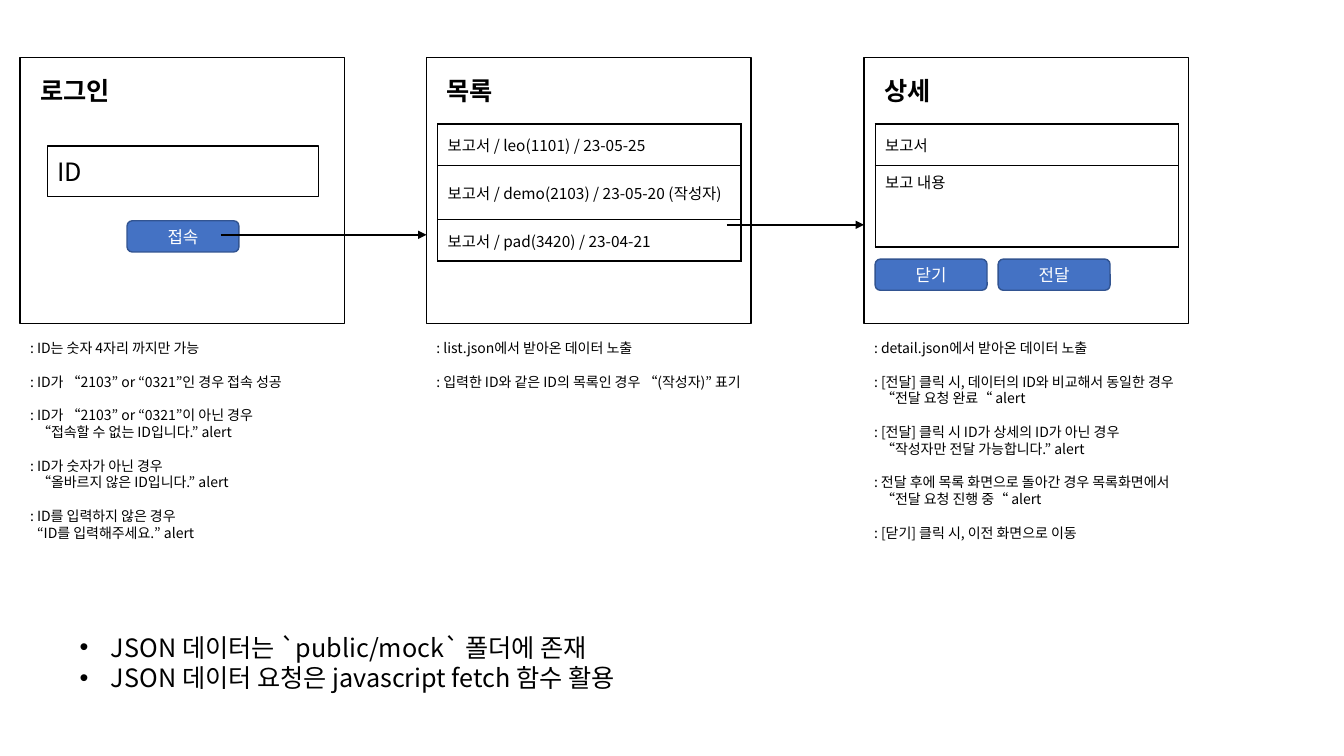
from dataclasses import dataclass

from lxml.etree import SubElement
from pptx import Presentation
from pptx.dml.color import RGBColor
from pptx.enum.shapes import MSO_CONNECTOR, MSO_SHAPE
from pptx.enum.text import MSO_ANCHOR, MSO_AUTO_SIZE, PP_ALIGN
from pptx.oxml import parse_xml
from pptx.oxml.ns import nsdecls, qn
from pptx.util import Inches, Pt


@dataclass(frozen=True)
class Theme:
    """Colours, font and type sizes of the slide."""

    font: str = "Noto Sans CJK KR"
    ink: str = "000000"
    paper: str = "FFFFFF"
    button: str = "4472C4"
    button_edge: str = "325491"
    heading: int = 18
    label: int = 12
    cell: int = 11
    note: int = 10
    leading: float = 1.2


@dataclass(frozen=True)
class Box:
    """A rectangle in inches."""

    left: float
    top: float
    width: float
    height: float

    def inside(self, left, top, width, height):
        """Return a box placed relative to this one."""
        return Box(self.left + left, self.top + top, width, height)

    def lengths(self):
        """Return left, top, width and height as slide lengths."""
        return [Inches(value) for value in (self.left, self.top, self.width, self.height)]


THEME = Theme()
PANEL_WIDTH, PANEL_HEIGHT, PANEL_TOP = 3.22, 2.64, 0.57
LOGIN_NOTES = [
    [": ID는 숫자 4자리 까지만 가능"],
    [": ID가 “2103” or “0321”인 경우 접속 성공"],
    [": ID가 “2103” or “0321”이 아닌 경우", "“접속할 수 없는 ID입니다.” alert"],
    [": ID가 숫자가 아닌 경우", "“올바르지 않은 ID입니다.” alert"],
    [": ID를 입력하지 않은 경우", "“ID를 입력해주세요.” alert"],
]
LIST_NOTES = [
    [": list.json에서 받아온 데이터 노출"],
    [": 입력한 ID와 같은 ID의 목록인 경우 “(작성자)” 표기"],
]
DETAIL_NOTES = [
    [": detail.json에서 받아온 데이터 노출"],
    [": [전달] 클릭 시, 데이터의 ID와 비교해서 동일한 경우", "“전달 요청 완료“ alert"],
    [": [전달] 클릭 시 ID가 상세의 ID가 아닌 경우", "“작성자만 전달 가능합니다.” alert"],
    [": 전달 후에 목록 화면으로 돌아간 경우 목록화면에서", "“전달 요청 진행 중“ alert"],
    [": [닫기] 클릭 시, 이전 화면으로 이동"],
]


def write_text(paragraph, text, size, color=THEME.ink, bold=False, align=PP_ALIGN.LEFT,
               leading=None, before=0, margin=0, hanging=0, bullet=None):
    """Put formatted text in a paragraph."""
    run = paragraph.add_run()
    run.text = text
    run.font.name, run.font.size, run.font.bold = THEME.font, Pt(size), bold
    run.font.color.rgb = RGBColor.from_string(color)
    SubElement(run.font._element, qn("a:ea")).set("typeface", THEME.font)
    paragraph.alignment = align
    paragraph.space_before = Pt(before)
    if leading:
        paragraph.line_spacing = Pt(size * leading)
    properties = paragraph._p.get_or_add_pPr()
    properties.set("marL", str(Inches(margin)))
    properties.set("indent", str(Inches(-hanging)))
    if bullet:
        SubElement(properties, qn("a:buFont")).set("typeface", "Arial")
        SubElement(properties, qn("a:buChar")).set("char", bullet)


def next_paragraph(frame):
    """Return the unused first paragraph or a new one."""
    first = frame.paragraphs[0]
    return frame.add_paragraph() if first.runs else first


def add_text_box(slide, box):
    """Add a wrapping text box and return its text frame."""
    frame = slide.shapes.add_textbox(*box.lengths()).text_frame
    frame.word_wrap = True
    return frame


def add_block(slide, box, preset=MSO_SHAPE.RECTANGLE, fill=THEME.paper, edge=THEME.ink):
    """Add a flat outlined shape and return its text frame."""
    shape = slide.shapes.add_shape(preset, *box.lengths())
    shape.shadow.inherit = False
    shape.fill.solid()
    shape.fill.fore_color.rgb = RGBColor.from_string(fill)
    shape.line.color.rgb = RGBColor.from_string(edge)
    shape.line.width = Pt(1)
    shape.text_frame.vertical_anchor = MSO_ANCHOR.MIDDLE
    return shape.text_frame


def add_button(slide, box, text):
    """Add a rounded blue button."""
    frame = add_block(slide, box, MSO_SHAPE.ROUNDED_RECTANGLE, THEME.button, THEME.button_edge)
    write_text(frame.paragraphs[0], text, THEME.label, color=THEME.paper, align=PP_ALIGN.CENTER)


def add_arrow(slide, left, right, height):
    """Add a horizontal arrow pointing right."""
    arrow = slide.shapes.add_connector(
        MSO_CONNECTOR.STRAIGHT, Inches(left), Inches(height), Inches(right), Inches(height))
    arrow.line.color.rgb = RGBColor.from_string(THEME.ink)
    arrow.line.width = Pt(1.5)
    SubElement(arrow.line._get_or_add_ln(), qn("a:tailEnd")).set("type", "triangle")
    SubElement(arrow._element.spPr, qn("a:effectLst"))


def add_report_table(slide, box, rows):
    """Add a one-column bordered table from (text, height, anchor) rows."""
    table = slide.shapes.add_table(len(rows), 1, *box.lengths()).table
    table.first_row = table.horz_banding = False
    for index, (text, height, anchor) in enumerate(rows):
        table.rows[index].height = Inches(height)
        cell = table.cell(index, 0)
        cell.vertical_anchor = anchor
        cell.fill.solid()
        cell.fill.fore_color.rgb = RGBColor.from_string(THEME.paper)
        write_text(cell.text_frame.paragraphs[0], text, THEME.cell)
        for position, side in enumerate(("lnL", "lnR", "lnT", "lnB")):
            border = parse_xml(
                f'<a:{side} {nsdecls("a")} w="{Pt(1)}"><a:solidFill>'
                f'<a:srgbClr val="{THEME.ink}"/></a:solidFill></a:{side}>')
            cell._tc.get_or_add_tcPr().insert(position, border)


def add_panel(slide, box, heading, heading_width, notes, notes_width):
    """Add a screen frame with its heading and the notes below it."""
    add_block(slide, box)
    frame = add_text_box(slide, box.inside(0.1, 0.13, heading_width, 0.4))
    write_text(frame.paragraphs[0], heading, THEME.heading, bold=True, leading=THEME.leading)
    line = THEME.note * THEME.leading / 72
    line_count = sum(map(len, notes)) + len(notes) - 1
    frame = add_text_box(slide, box.inside(0, 2.75, notes_width, 0.1 + line_count * line))
    for number, note in enumerate(notes):
        for order, text in enumerate(note):
            gap = THEME.note * THEME.leading if number and not order else 0
            write_text(next_paragraph(frame), text, THEME.note, leading=THEME.leading,
                       before=gap, margin=0.07 if order else 0)


def add_login(slide, box):
    """Add the login screen."""
    add_panel(slide, box, "로그인", 0.96, LOGIN_NOTES, 2.8)
    field = add_block(slide, box.inside(0.27, 0.88, 2.69, 0.5))
    write_text(field.paragraphs[0], "ID", THEME.heading)
    add_button(slide, box.inside(1.06, 1.62, 1.11, 0.31), "접속")


def add_list(slide, box):
    """Add the report list screen."""
    add_panel(slide, box, "목록", 0.71, LIST_NOTES, 3.48)
    reports = (("leo(1101) / 23-05-25", 0.41), ("demo(2103) / 23-05-20 (작성자)", 0.54),
               ("pad(3420) / 23-04-21", 0.41))
    rows = [(f"보고서 / {report}", height, MSO_ANCHOR.MIDDLE) for report, height in reports]
    add_report_table(slide, box.inside(0.11, 0.66, 3.01, 1.36), rows)


def add_detail(slide, box):
    """Add the report detail screen."""
    add_panel(slide, box, "상세", 0.71, DETAIL_NOTES, 3.55)
    rows = [("보고서", 0.41, MSO_ANCHOR.MIDDLE), ("보고 내용", 0.81, MSO_ANCHOR.TOP)]
    add_report_table(slide, box.inside(0.11, 0.66, 3.01, 1.22), rows)
    for index, text in enumerate(("닫기", "전달")):
        add_button(slide, box.inside(0.11 + index * 1.22, 2, 1.11, 0.31), text)


def fill_body(placeholder, box):
    """Place the body placeholder and write the data remarks in it."""
    placeholder.left, placeholder.top, placeholder.width, placeholder.height = box.lengths()
    frame = placeholder.text_frame
    frame.word_wrap, frame.auto_size = True, MSO_AUTO_SIZE.NONE
    for text in ("JSON 데이터는 `public/mock` 폴더에 존재",
                 "JSON 데이터 요청은 javascript fetch 함수 활용"):
        write_text(next_paragraph(frame), text, THEME.heading, leading=THEME.leading,
                   margin=0.31, hanging=0.31, bullet="•")


presentation = Presentation()
presentation.slide_width, presentation.slide_height = Inches(13.33), Inches(7.5)
slide = presentation.slides.add_slide(presentation.slide_layouts[1])
title = slide.shapes.title._element
title.getparent().remove(title)
fill_body(slide.placeholders[1], Box(0.69, 6.22, 5.82, 0.71))
for add_screen, left in ((add_login, 0.2), (add_list, 4.23), (add_detail, 8.57)):
    add_screen(slide, Box(left, PANEL_TOP, PANEL_WIDTH, PANEL_HEIGHT))
add_arrow(slide, 2.19, 4.23, 2.33)
add_arrow(slide, 7.21, 8.57, 2.23)
presentation.save("out.pptx")
